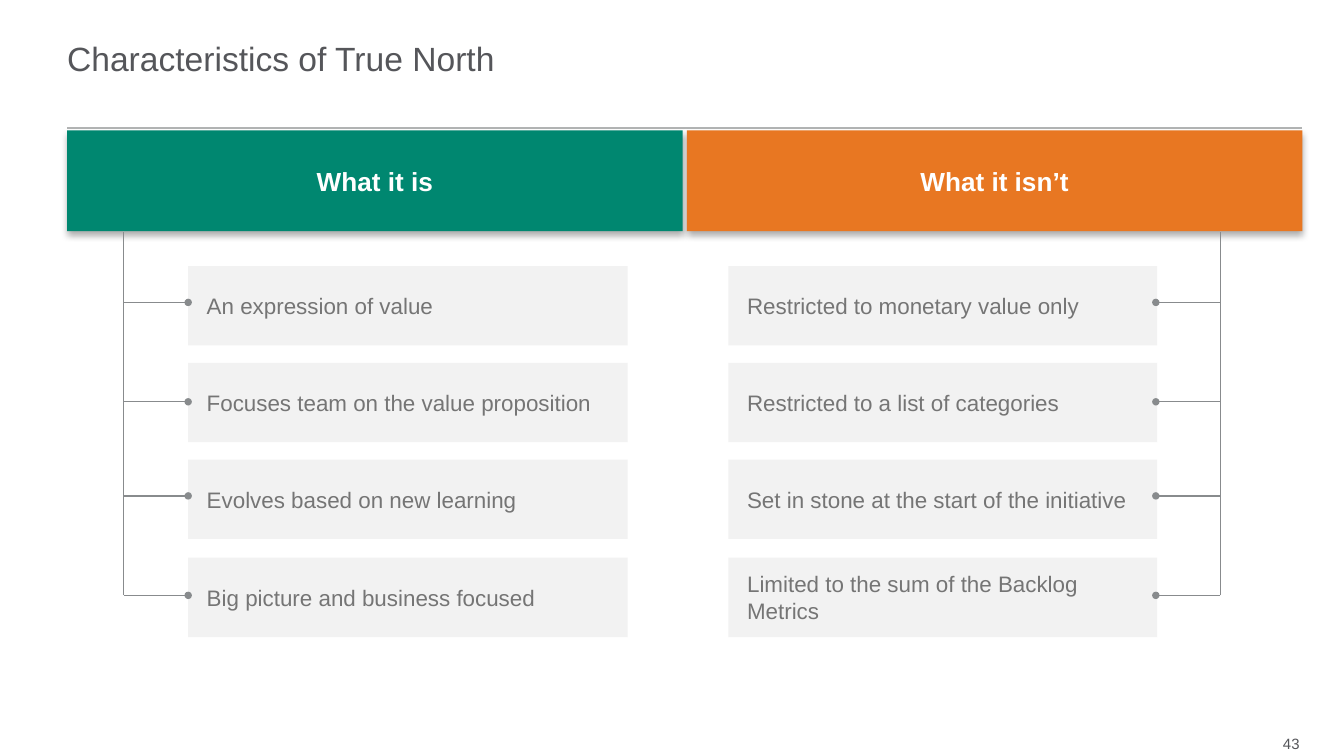
from lxml.etree import SubElement
from pptx import Presentation
from pptx.dml.color import RGBColor
from pptx.enum.shapes import MSO_CONNECTOR, MSO_SHAPE
from pptx.enum.text import MSO_ANCHOR, PP_ALIGN
from pptx.oxml.ns import qn
from pptx.util import Inches, Pt

GREEN = RGBColor(0x00, 0x87, 0x70)
ORANGE = RGBColor(0xE8, 0x77, 0x22)
WHITE = RGBColor(0xFF, 0xFF, 0xFF)
PANEL = RGBColor(0xF2, 0xF2, 0xF2)
BODY = RGBColor(0x75, 0x75, 0x75)
HEADING = RGBColor(0x55, 0x56, 0x5A)
RULE = RGBColor(0xB1, 0xB3, 0xB3)
BRANCH = RGBColor(0x88, 0x8B, 0x8D)

CARD_TOPS = [1.98, 2.7, 3.42, 4.15]
BRANCH_HEIGHTS = [2.25, 2.99, 3.69, 4.43]
TRUNK_TOP = 1.73

COLUMNS = [
    {
        "title": "What it is", "color": GREEN, "header_left": 0.5,
        "card_left": 1.4, "card_width": 3.27, "trunk": 0.92, "card_edge": 1.4,
        "items": [
            "An expression of value",
            "Focuses team on the value proposition",
            "Evolves based on new learning",
            "Big picture and business focused",
        ],
    },
    {
        "title": "What it isn’t", "color": ORANGE, "header_left": 5.11,
        "card_left": 5.42, "card_width": 3.19, "trunk": 9.08, "card_edge": 8.6,
        "items": [
            "Restricted to monetary value only",
            "Restricted to a list of categories",
            "Set in stone at the start of the initiative",
            "Limited to the sum of the Backlog Metrics",
        ],
    },
]


def write_text(shape, text, size, color, align=PP_ALIGN.LEFT, bold=False, indent=0):
    frame = shape.text_frame
    frame.vertical_anchor = MSO_ANCHOR.MIDDLE
    paragraph = frame.paragraphs[0]
    paragraph.alignment = align
    if indent:
        paragraph._p.get_or_add_pPr().set("marL", str(Inches(indent)))
    span = paragraph.add_run()
    span.text = text
    for name, value in {"name": "Arial", "size": Pt(size), "bold": bold}.items():
        setattr(span.font, name, value)
    span.font.color.rgb = color


def add_label(page, left, top, width, height, text, size, align, wrap):
    box = page.shapes.add_textbox(Inches(left), Inches(top), Inches(width), Inches(height))
    for side in ("left", "top", "right", "bottom"):
        setattr(box.text_frame, f"margin_{side}", 0)
    box.text_frame.word_wrap = wrap
    write_text(box, text, size, HEADING, align)


def add_panel(page, left, top, width, height, color):
    panel = page.shapes.add_shape(
        MSO_SHAPE.RECTANGLE, Inches(left), Inches(top), Inches(width), Inches(height))
    panel.shadow.inherit = False
    panel.fill.solid()
    panel.fill.fore_color.rgb = color
    panel.line.fill.background()
    panel.text_frame.word_wrap = True
    return panel


def add_drop_shadow(shape):
    effects = shape._element.spPr.find(qn("a:effectLst"))
    shadow = SubElement(effects, qn("a:outerShdw"), blurRad=str(Pt(3.5)),
                        dist=str(Pt(2.2)), dir="5400000", algn="t", rotWithShape="0")
    tint = SubElement(shadow, qn("a:srgbClr"), val="000000")
    SubElement(tint, qn("a:alpha"), val="32000")


def add_line(page, start_x, start_y, end_x, end_y, color, width, dot=False):
    line = page.shapes.add_connector(
        MSO_CONNECTOR.STRAIGHT, Inches(start_x), Inches(start_y), Inches(end_x), Inches(end_y))
    line.line.color.rgb = color
    line.line.width = Pt(width)
    properties = line._element.spPr
    if dot:
        SubElement(properties.find(qn("a:ln")), qn("a:tailEnd"), type="oval", w="sm", len="sm")
    SubElement(properties, qn("a:effectLst"))


def add_column(page, column):
    header = add_panel(page, column["header_left"], 0.97, 4.58, 0.75, column["color"])
    add_drop_shadow(header)
    write_text(header, column["title"], 14, WHITE, PP_ALIGN.CENTER, bold=True)
    for top, item in zip(CARD_TOPS, column["items"]):
        card = add_panel(page, column["card_left"], top, column["card_width"], 0.59, PANEL)
        write_text(card, item, 12, BODY, indent=0.04)
    trunk = column["trunk"]
    add_line(page, trunk, TRUNK_TOP, trunk, BRANCH_HEIGHTS[-1], BRANCH, 0.75)
    for height in BRANCH_HEIGHTS:
        add_line(page, trunk, height, column["card_edge"], height, BRANCH, 0.75, dot=True)


def main():
    deck = Presentation()
    deck.slide_width = Inches(10)
    deck.slide_height = Inches(10) * 9 // 16
    page = deck.slides.add_slide(deck.slide_layouts[6])
    add_line(page, 0.5, 0.95, 9.69, 0.95, RULE, 1)
    add_label(page, 0.5, 0.07, 7.33, 0.73, "Characteristics of True North", 18, PP_ALIGN.LEFT, True)
    for column in COLUMNS:
        add_column(page, column)
    add_label(page, 9.25, 5.43, 0.42, 0.2, "43", 8, PP_ALIGN.RIGHT, False)
    deck.save("out.pptx")


if __name__ == "__main__":
    main()
